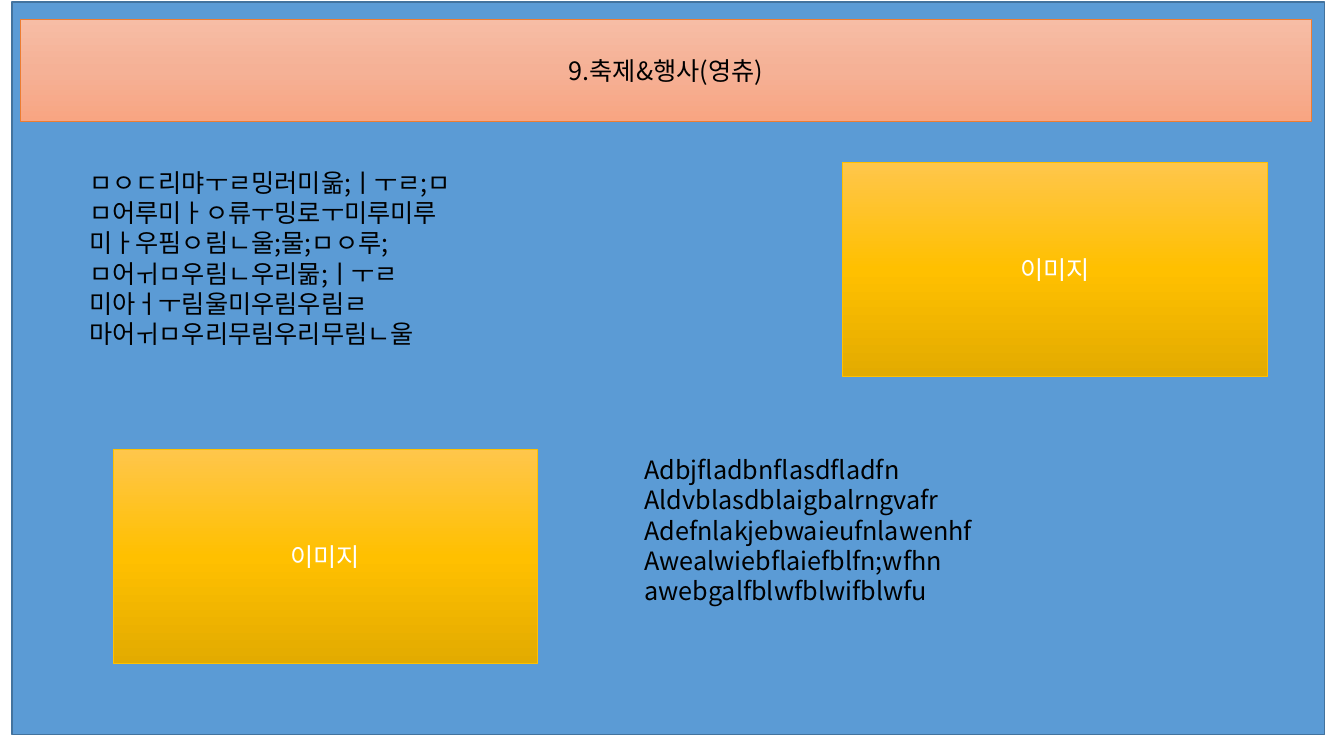
from copy import deepcopy
from lxml import etree
from pptx import Presentation
from pptx.dml.color import RGBColor
from pptx.enum.shapes import MSO_SHAPE
from pptx.enum.text import MSO_ANCHOR, PP_ALIGN
from pptx.oxml.ns import qn
from pptx.util import Inches, Pt

RECTANGLE = MSO_SHAPE.RECTANGLE
MIDDLE, TOP = MSO_ANCHOR.MIDDLE, MSO_ANCHOR.TOP
CENTER, LEFT = PP_ALIGN.CENTER, PP_ALIGN.LEFT
BLACK = RGBColor(0, 0, 0)
WHITE = RGBColor(0xFF, 0xFF, 0xFF)
BLUE = RGBColor(0x5B, 0x9B, 0xD5)
DARK_BLUE = RGBColor(0x43, 0x73, 0x9E)
ORANGE = RGBColor(0xED, 0x7D, 0x31)
GOLD = RGBColor(0xFF, 0xC0, 0x00)
PEACH_STOPS = [RGBColor(0xF7, 0xBD, 0xA5), RGBColor(0xF5, 0xB1, 0x96), RGBColor(0xF8, 0xA5, 0x82)]
GOLD_STOPS = [RGBColor(0xFF, 0xC6, 0x4B), GOLD, RGBColor(0xE3, 0xAB, 0x00)]
FONT = "Noto Sans CJK KR"

presentation = Presentation()
presentation.slide_width = Inches(13.33)
presentation.slide_height = Inches(7.5)
slide = presentation.slides.add_slide(presentation.slide_layouts[6])

column = presentation.slide_width / 100
row = presentation.slide_height / 100
upper_row, lower_row = 21.47, 59.47
image_size = (31.6, 28.27)


def add_panel(left, top, width, height, line_color, line_width):
    panel = slide.shapes.add_shape(
        RECTANGLE, int(left * column), int(top * row), int(width * column), int(height * row))
    panel.shadow.inherit = False
    panel.line.color.rgb = line_color
    panel.line.width = Pt(line_width)
    return panel


def write_lines(shape, lines, color, alignment, anchor):
    frame = shape.text_frame
    frame.word_wrap = True
    frame.vertical_anchor = anchor
    frame.text = "\n".join(lines)
    font_format = {"name": FONT, "size": Pt(18)}
    for paragraph in frame.paragraphs:
        paragraph.alignment = alignment
        for run in paragraph.runs:
            for attribute, value in font_format.items():
                setattr(run.font, attribute, value)
            run.font.color.rgb = color
            east_asian = etree.SubElement(run.font._element, qn("a:ea"))
            east_asian.set("typeface", FONT)


background = add_panel(0.9, 0.27, 97.67, 96.93, DARK_BLUE, 1)
background.fill.solid()
background.fill.fore_color.rgb = BLUE

gradient_panels = [
    ((1.5, 2.53, 96.1, 13.47), ORANGE, PEACH_STOPS, "9.축제&행사(영츄)", BLACK),
    ((62.7, upper_row, *image_size), GOLD, GOLD_STOPS, "이미지", WHITE),
    ((8.4, lower_row, *image_size), GOLD, GOLD_STOPS, "이미지", WHITE),
]
for box, line_color, stop_colors, label, text_color in gradient_panels:
    panel = add_panel(*box, line_color, 0.5)
    panel.fill.gradient()
    panel.fill.gradient_angle = 270
    stop_list = panel._element.spPr.find(qn("a:gradFill")).find(qn("a:gsLst"))
    stop_list.insert(1, deepcopy(stop_list[0]))
    for index, (stop, color) in enumerate(zip(panel.fill.gradient_stops, stop_colors)):
        stop.position = index / 2
        stop.color.rgb = color
    write_lines(panel, [label], text_color, CENTER, MIDDLE)

descriptions = [
    ((5.9, upper_row, 51.15, 25.6), [
        "ㅁㅇㄷ리먀ㅜㄹ밍러미욺;ㅣㅜㄹ;ㅁ",
        "ㅁ어루미ㅏㅇ류ㅜ밍로ㅜ미루미루",
        "미ㅏ우핌ㅇ림ㄴ울;물;ㅁㅇ루;",
        "ㅁ어ㅟㅁ우림ㄴ우리묾;ㅣㅜㄹ",
        "미아ㅓㅜ림울미우림우림ㄹ",
        "마어ㅟㅁ우리무림우리무림ㄴ울",
    ]),
    ((47.2, lower_row, 47.1, 21.6), [
        "Adbjfladbnflasdfladfn",
        "Aldvblasdblaigbalrngvafr",
        "Adefnlakjebwaieufnlawenhf",
        "Awealwiebflaiefblfn;wfhn",
        "awebgalfblwfblwifblwfu",
    ]),
]
for (left, top, width, height), lines in descriptions:
    text_box = slide.shapes.add_textbox(
        int(left * column), int(top * row), int(width * column), int(height * row))
    write_lines(text_box, lines, BLACK, LEFT, TOP)

presentation.save("out.pptx")
